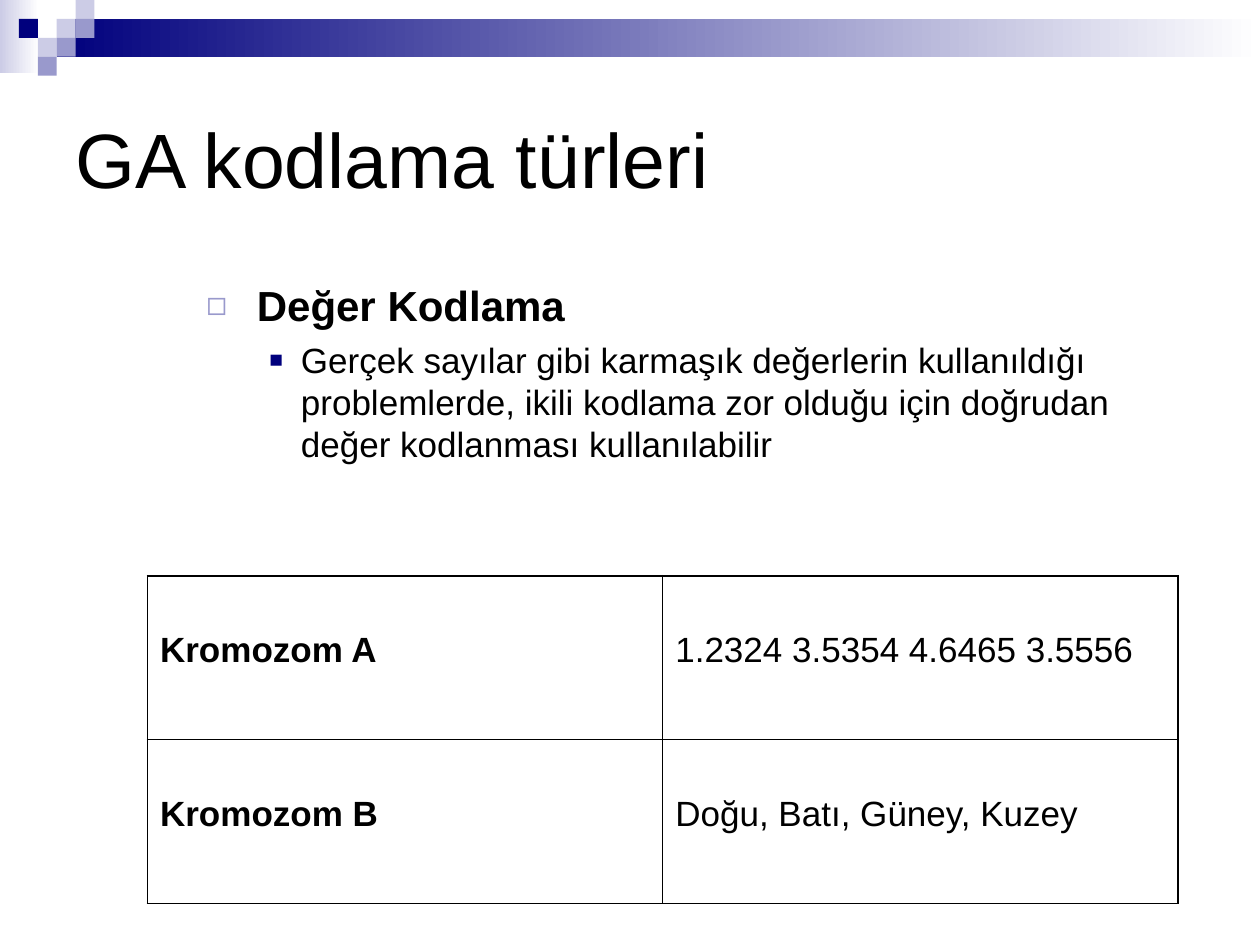
from dataclasses import dataclass

from lxml.etree import SubElement
from pptx import Presentation
from pptx.dml.color import RGBColor
from pptx.enum.shapes import MSO_SHAPE
from pptx.enum.text import MSO_ANCHOR
from pptx.oxml.ns import qn
from pptx.util import Pt

PX = 9144  # EMU per px, 100 px to the inch


@dataclass(frozen=True)
class Theme:
    font: str = "Arial"
    ink: str = "000000"
    white: str = "FFFFFF"
    navy: str = "00007D"
    violet: str = "9999CC"
    lilac: str = "CCCCE6"
    title_size: int = 44
    heading_size: int = 24
    body_size: int = 20
    outer_line: float = 1.08
    inner_line: float = 0.45


THEME = Theme()


def px(*lengths):
    return [length * PX for length in lengths]


def write(paragraph, text, size=THEME.body_size, bold=False, before=0,
          margin=0, hanging=0, bullet=None):
    """Fill a paragraph; bullet is (character, colour, percent of text size)."""
    paragraph.space_before = Pt(before)
    run = paragraph.add_run()
    run.text = text
    run.font.name = THEME.font
    run.font.size = Pt(size)
    run.font.bold = bold
    run.font.color.rgb = RGBColor.from_string(THEME.ink)
    if bullet:
        character, color, percent = bullet
        properties = paragraph._p.get_or_add_pPr()
        properties.set("marL", str(margin * PX))
        properties.set("indent", str(-hanging * PX))
        SubElement(SubElement(properties, qn("a:buClr")), qn("a:srgbClr"), val=color)
        SubElement(properties, qn("a:buSzPct"), val=str(percent * 1000))
        SubElement(properties, qn("a:buFont"), typeface=THEME.font)
        SubElement(properties, qn("a:buChar"), char=character)


def add_frame(slide, box, anchor=MSO_ANCHOR.TOP):
    frame = slide.shapes.add_textbox(*px(*box)).text_frame
    frame.word_wrap = True
    frame.vertical_anchor = anchor
    return frame


def add_block(slide, box, *colors):
    """Add a plain rectangle; two colours fade from right to left."""
    shape = slide.shapes.add_shape(MSO_SHAPE.RECTANGLE, *px(*box))
    shape.shadow.inherit = False
    shape.line.fill.background()
    if len(colors) == 1:
        shape.fill.solid()
        shape.fill.fore_color.rgb = RGBColor.from_string(colors[0])
        return
    shape.fill.gradient()
    shape.fill.gradient_angle = 180
    for position, (stop, color) in enumerate(zip(shape.fill.gradient_stops, colors)):
        stop.position = position
        stop.color.rgb = RGBColor.from_string(color)


def add_banner(slide, box):
    left, top, width, height = box
    # Fading strips
    add_block(slide, (left, top, 31, height - 2), THEME.white, THEME.lilac)
    add_block(slide, (left + 45, top + 15, width - 45, 30), THEME.white, THEME.navy)
    # Mosaic of small squares: column, row, colour
    side = 15
    squares = [(3, 1, THEME.lilac), (4, 0, THEME.lilac), (4, 1, THEME.violet),
               (2, 2, THEME.lilac), (1, 1, THEME.navy), (3, 2, THEME.violet),
               (2, 3, THEME.violet)]
    for column, row, color in squares:
        add_block(slide, (left + column * side, top + row * side, side, side), color)


def add_title(slide, box):
    frame = add_frame(slide, box, MSO_ANCHOR.MIDDLE)
    write(frame.paragraphs[0], "GA kodlama türleri", size=THEME.title_size)


def add_body(slide, box):
    frame = add_frame(slide, box)
    write(frame.paragraphs[0], "Değer Kodlama", size=THEME.heading_size, bold=True,
          before=6, margin=90, hanging=40, bullet=("◻", THEME.violet, 80))
    write(frame.add_paragraph(),
          "Gerçek sayılar gibi karmaşık değerlerin kullanıldığı problemlerde, "
          "ikili kodlama zor olduğu için doğrudan değer kodlanması kullanılabilir",
          before=5, margin=125, hanging=25, bullet=("■", THEME.navy, 65))


def set_borders(cell, outer_sides):
    properties = cell._tc.get_or_add_tcPr()
    for side in "LRTB":
        width = THEME.outer_line if side in outer_sides else THEME.inner_line
        line = SubElement(properties, qn(f"a:ln{side}"), w=str(Pt(width)))
        SubElement(SubElement(line, qn("a:solidFill")), qn("a:srgbClr"), val=THEME.ink)


def add_chromosomes(slide, box):
    rows = [("Kromozom A", "1.2324 3.5354 4.6465 3.5556"),
            ("Kromozom B", "Doğu, Batı, Güney, Kuzey")]
    table = slide.shapes.add_table(len(rows), 2, *px(*box)).table
    table.first_row = table.horz_banding = False
    for r, row in enumerate(rows):
        for c, text in enumerate(row):
            cell = table.cell(r, c)
            set_borders(cell, "TB"[r] + "LR"[c])
            cell.fill.background()
            cell.margin_top = 44 * PX
            write(cell.text_frame.paragraphs[0], text, bold=c == 0)


def main():
    presentation = Presentation()
    presentation.slide_width, presentation.slide_height = px(1000, 750)
    slide = presentation.slides.add_slide(presentation.slide_layouts[6])
    add_banner(slide, (0, 0, 1000, 60))
    add_title(slide, (50, 50, 900, 150))
    add_body(slide, (104, 217, 830, 205))
    add_chromosomes(slide, (117, 457, 818, 260))
    presentation.save("out.pptx")


if __name__ == "__main__":
    main()
